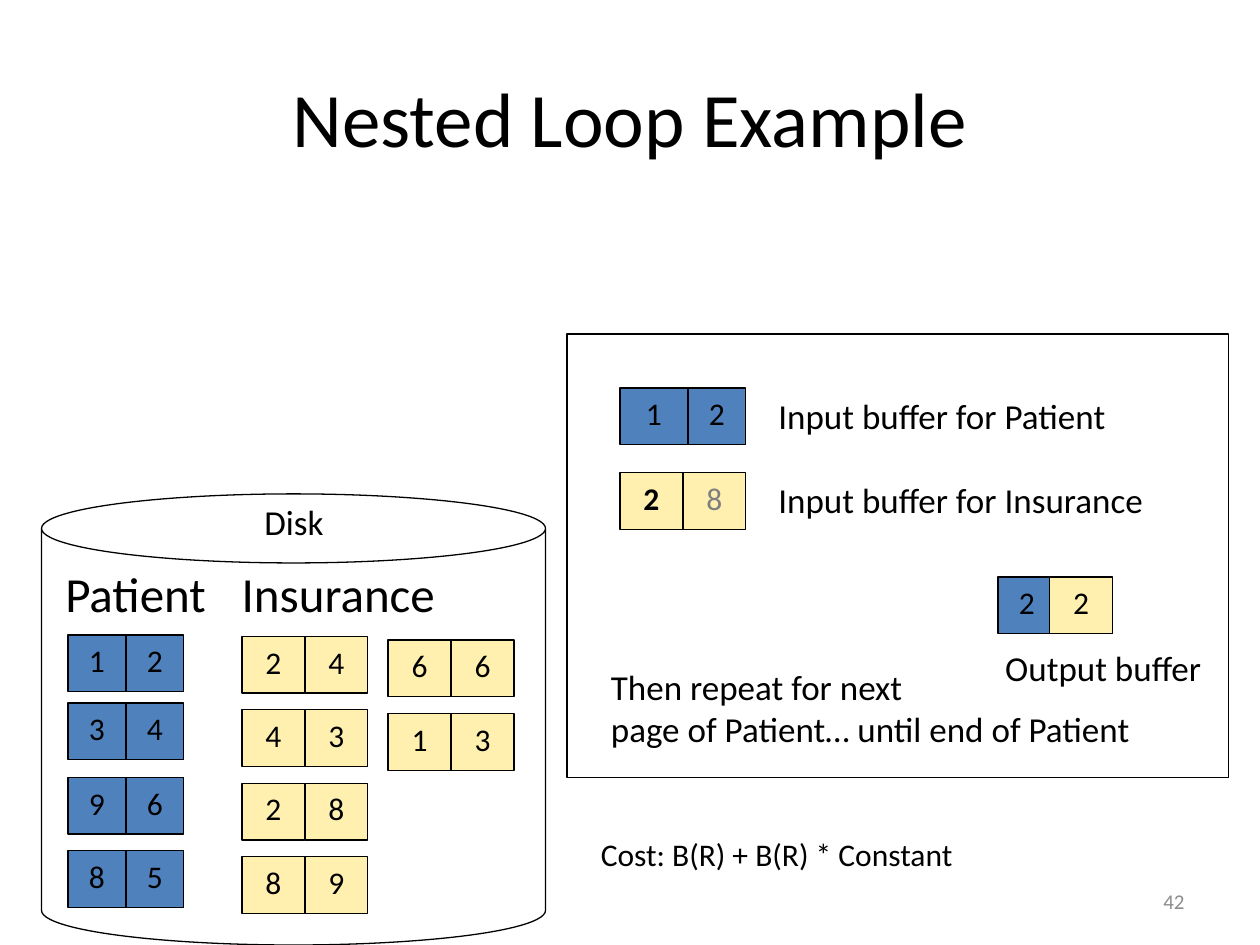
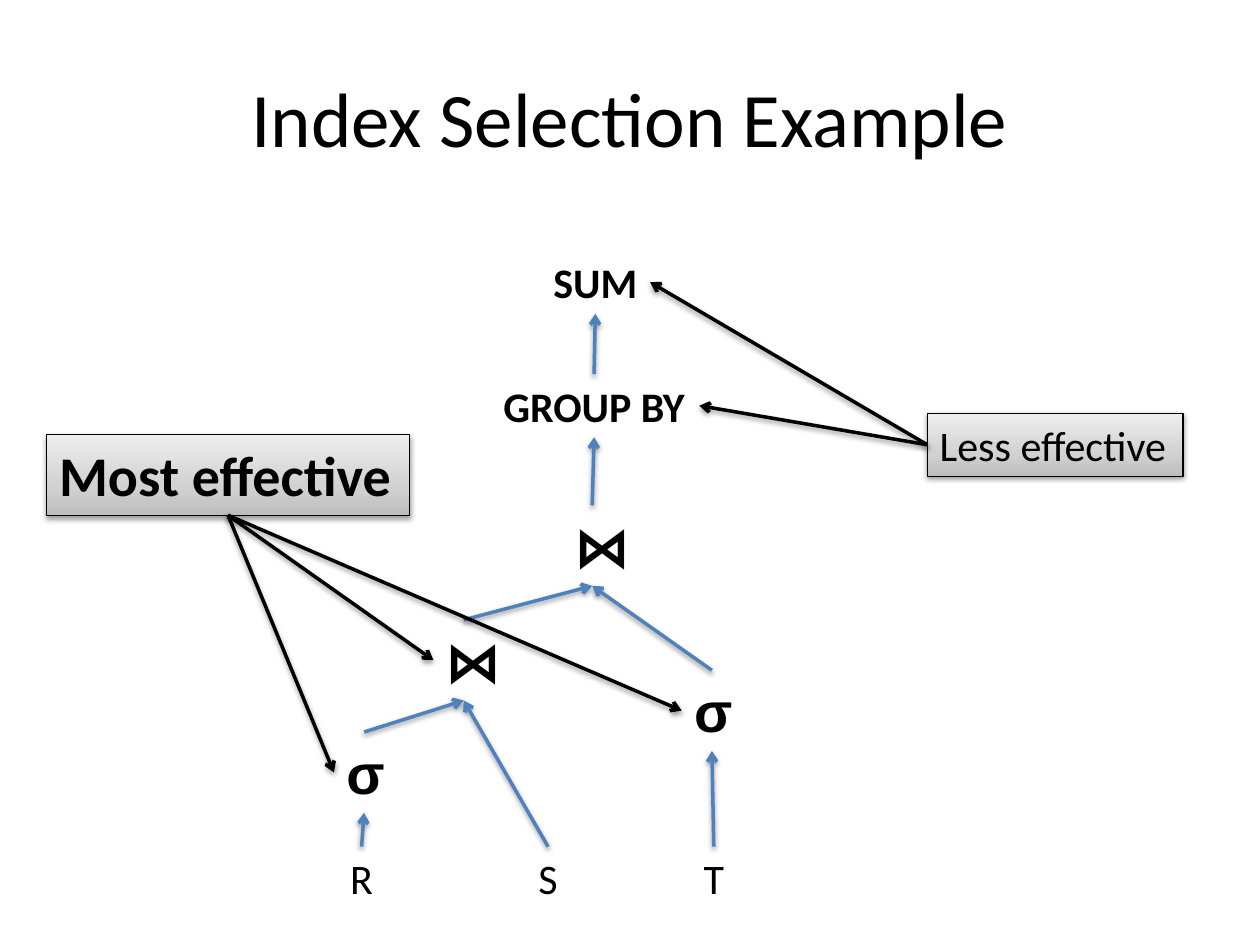
from copy import deepcopy

from lxml import etree
from pptx import Presentation
from pptx.dml.color import RGBColor
from pptx.enum import shapes, text
from pptx.oxml.ns import qn
from pptx.util import Inches, Pt

BLACK, BLUE, CREAM = "000000", "4F81BD", "FFF0AF"
GREY, PAGE_GREY = "7F7F7F", "8C8C8C"
GREYS = [(0, "BDBDBD"), (0.35, "D1D1D1"), (1, "EEEEEE")]
FONT = "Calibri"
LEFT, CENTER, RIGHT = text.PP_ALIGN.LEFT, text.PP_ALIGN.CENTER, text.PP_ALIGN.RIGHT
CELL_H = 0.45
TOP_SITE, LEFT_SITE, BOTTOM_SITE, RIGHT_SITE = range(4)  # connection sites


def rgb(color):
    return RGBColor.from_string(color)


def write(sp, words, size, color=BLACK, bold=False, align=LEFT, font=FONT):
    tf = sp.text_frame
    tf.text = words
    for p in tf.paragraphs:
        p.alignment = align
        for r in p.runs:
            r.font.name, r.font.size, r.font.bold = font, Pt(size), bold
            r.font.color.rgb = rgb(color)


def fit(sp):
    sp.text_frame.word_wrap = False
    sp.text_frame.auto_size = text.MSO_AUTO_SIZE.SHAPE_TO_FIT_TEXT


def add_slide(prs, title):
    s = prs.slides.add_slide(prs.slide_layouts[5])
    sp = s.shapes.title
    sp.left, sp.top, sp.width, sp.height = map(Inches, (0.5, 0.3, 9, 1.25))
    write(sp, title, 44, align=CENTER)
    return s


def add_label(s, words, x, y, w, h, size=20, **style):
    sp = s.shapes.add_textbox(*map(Inches, (x, y, w, h)))
    write(sp, words, size, **style)
    fit(sp)
    return sp


def add_box(s, x, y, w, h, fill=None, kind=shapes.MSO_SHAPE.RECTANGLE):
    sp = s.shapes.add_shape(kind, *map(Inches, (x, y, w, h)))
    sp.shadow.inherit = False
    sp.line.color.rgb = rgb(BLACK)
    sp.line.width = Pt(0.75)
    if fill:
        sp.fill.solid()
        sp.fill.fore_color.rgb = rgb(fill)
    else:
        sp.fill.background()
    return sp


def add_cell(s, value, x, y, w, fill, **style):
    sp = add_box(s, x, y, w, CELL_H, fill)
    sp.text_frame.vertical_anchor = text.MSO_ANCHOR.TOP
    write(sp, value, 18, align=CENTER, **style)


def add_page(s, values, x, y, w, fill):
    """A disk page: equal cells side by side."""
    for i, value in enumerate(values):
        add_cell(s, value, x + i * w, y, w, fill)


def add_shadow(sp):
    spPr = sp._element.spPr
    effects = spPr.find(qn("a:effectLst"))
    if effects is None:
        effects = etree.SubElement(spPr, qn("a:effectLst"))
    shadow = etree.SubElement(effects, qn("a:outerShdw"), blurRad=str(Pt(3.1)),
                              dist=str(Pt(1.6)), dir="5400000", rotWithShape="0")
    color = etree.SubElement(shadow, qn("a:srgbClr"), val=BLACK)
    etree.SubElement(color, qn("a:alpha"), val="38000")


def add_arrow(s, start, start_site, end, end_site, color):
    c = s.shapes.add_connector(shapes.MSO_CONNECTOR.STRAIGHT, 0, 0, 0, 0)
    c.begin_connect(start, start_site)
    c.end_connect(end, end_site)
    c.line.color.rgb = rgb(color)
    c.line.width = Pt(2)
    etree.SubElement(c.line._get_or_add_ln(), qn("a:tailEnd"), type="arrow")
    add_shadow(c)


def add_callout(s, words, x, y, w, h, size, bold=False):
    sp = add_box(s, x, y, w, h)
    sp.fill.gradient()
    sp.fill.gradient_angle = 90
    stops = sp._element.spPr.find(".//" + qn("a:gsLst"))
    stops.append(deepcopy(stops[-1]))
    for stop, (position, color) in zip(sp.fill.gradient_stops, GREYS):
        stop.position = position
        stop.color.rgb = rgb(color)
    add_shadow(sp)
    sp.text_frame.vertical_anchor = text.MSO_ANCHOR.TOP
    write(sp, words, size, bold=bold)
    fit(sp)
    return sp


def build_nested_loop(prs):
    s = add_slide(prs, "Nested Loop Example")
    number = s.shapes.add_textbox(*map(Inches, (7.17, 6.95, 2.33, 0.4)))
    number.text_frame.word_wrap = True
    number.text_frame.vertical_anchor = text.MSO_ANCHOR.MIDDLE
    write(number, "42", 12, PAGE_GREY, align=RIGHT)

    # Disk with the pages of both relations
    disk = add_box(s, 0.33, 3.92, 4, 3.58, kind=shapes.MSO_SHAPE.CAN)
    disk.adjustments[0] = 0.153
    add_label(s, "Disk", 2, 3.92, 0.68, 0.44)
    add_label(s, "Patient", 0.42, 4.42, 1.34, 0.57, 28)
    add_label(s, "Insurance", 1.82, 4.42, 1.76, 0.57, 28)
    for y, values in zip((5.04, 5.58, 6.17, 6.75), ("12", "34", "96", "85")):
        add_page(s, values, 0.54, y, 0.46, BLUE)
    for x, top, pages in ((1.92, 5.05, ("24", "43", "28", "89")),
                          (3.08, 5.08, ("66", "13"))):
        for i, values in enumerate(pages):
            add_page(s, values, x, top + i * 1.75 / 3, 0.5, CREAM)

    # Memory with its buffers
    add_box(s, 4.5, 2.65, 5.25, 3.52)
    for cell in (("1", 4.92, 3.08, 0.54, BLUE), ("2", 5.46, 3.08, 0.46, BLUE),
                 ("2", 7.92, 4.58, 0.46, BLUE), ("2", 8.33, 4.58, 0.5, CREAM)):
        add_cell(s, *cell)
    add_cell(s, "2", 4.92, 3.75, 0.5, CREAM, bold=True)
    add_cell(s, "8", 5.42, 3.75, 0.5, CREAM, color=GREY)
    add_label(s, "Input buffer for Patient", 6.08, 3.08, 2.84, 0.44)
    add_label(s, "Input buffer for Insurance", 6.08, 3.75, 3.14, 0.44)
    add_label(s, "Output buffer", 7.88, 5.08, 1.84, 0.44)
    add_label(s, "Then repeat for next\npage of Patient… until end of Patient",
              4.75, 5.23, 4.38, 0.77)
    add_label(s, "Cost: B(R) + B(R) * Constant", 4.67, 6.58, 3.03, 0.4, 18)


def build_index_selection(prs):
    s = add_slide(prs, "Index Selection Example")

    # Query plan: operators and relations
    nodes = {}
    for name, words, x, y, w in (
            ("R", "R", 2.68, 6.72, 0.38), ("S", "S", 4.17, 6.72, 0.36),
            ("T", "T", 5.48, 6.72, 0.37),
            ("select R", "σ", 2.65, 5.81, 0.48), ("select T", "σ", 5.41, 5.32, 0.48),
            ("join RS", "⋈", 3.44, 4.92, 0.48), ("join RST", "⋈", 4.46, 4.01, 0.48),
            ("group", "GROUP BY", 3.88, 2.97, 1.67), ("sum", "SUM", 4.29, 1.99, 0.87)):
        symbol = words in "σ⋈"
        nodes[name] = add_label(
            s, words, x, y, w, 0.64 if symbol else 0.5, 32 if symbol else 24,
            bold=words not in "RST", align=CENTER,
            font="Arial" if words == "σ" else FONT)

    # Data flow, child to parent
    for child, parent in (("R", "select R"), ("select R", "join RS"), ("S", "join RS"),
                          ("join RS", "join RST"), ("T", "select T"),
                          ("select T", "join RST"), ("join RST", "group"),
                          ("group", "sum")):
        add_arrow(s, nodes[child], TOP_SITE, nodes[parent], BOTTOM_SITE, BLUE)

    # Where an index helps
    most = add_callout(s, "Most effective", 0.37, 3.45, 2.88, 0.64, 32, bold=True)
    for name in ("select T", "select R", "join RS"):
        add_arrow(s, most, BOTTOM_SITE, nodes[name], LEFT_SITE, BLACK)
    less = add_callout(s, "Less effective", 7.36, 3.28, 2.03, 0.5, 24)
    for name in ("sum", "group"):
        add_arrow(s, less, LEFT_SITE, nodes[name], RIGHT_SITE, BLACK)


def main():
    prs = Presentation()
    prs.slide_width, prs.slide_height = Inches(10), Inches(7.5)
    build_nested_loop(prs)
    build_index_selection(prs)
    prs.save("out.pptx")


if __name__ == "__main__":
    main()
